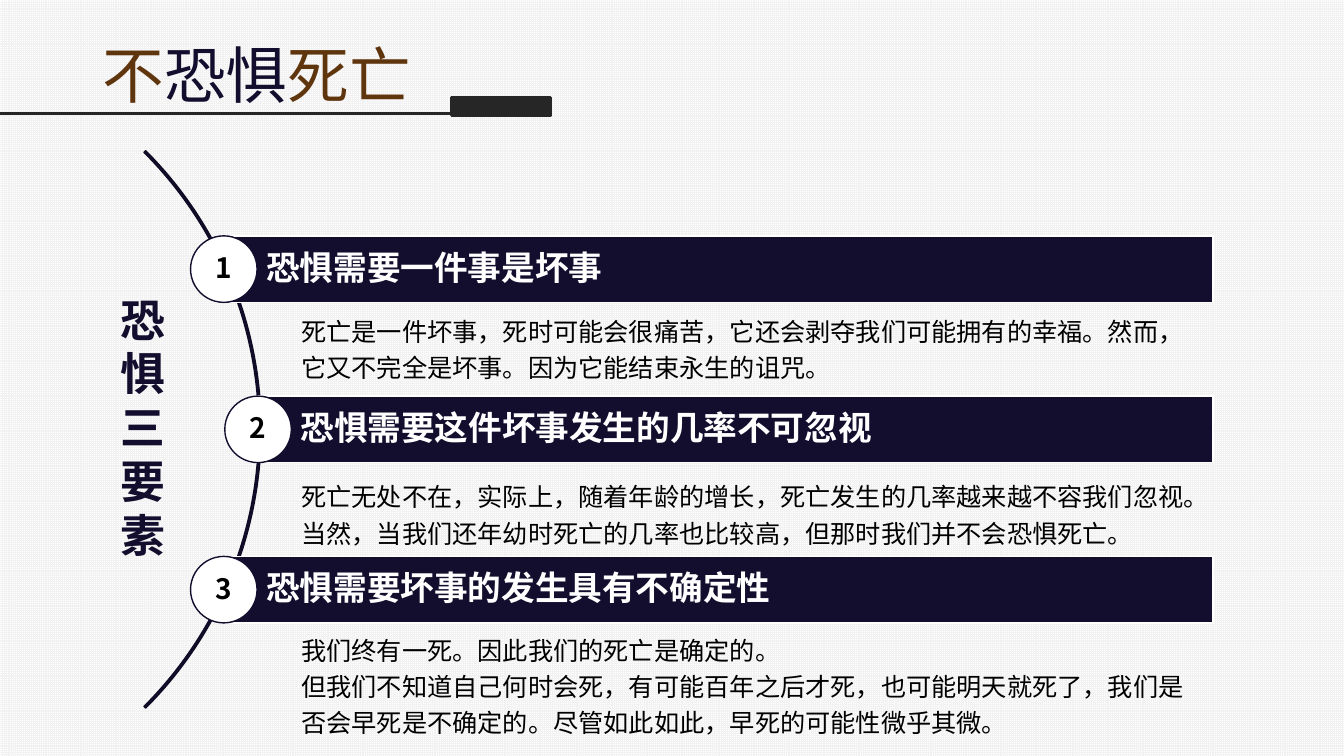
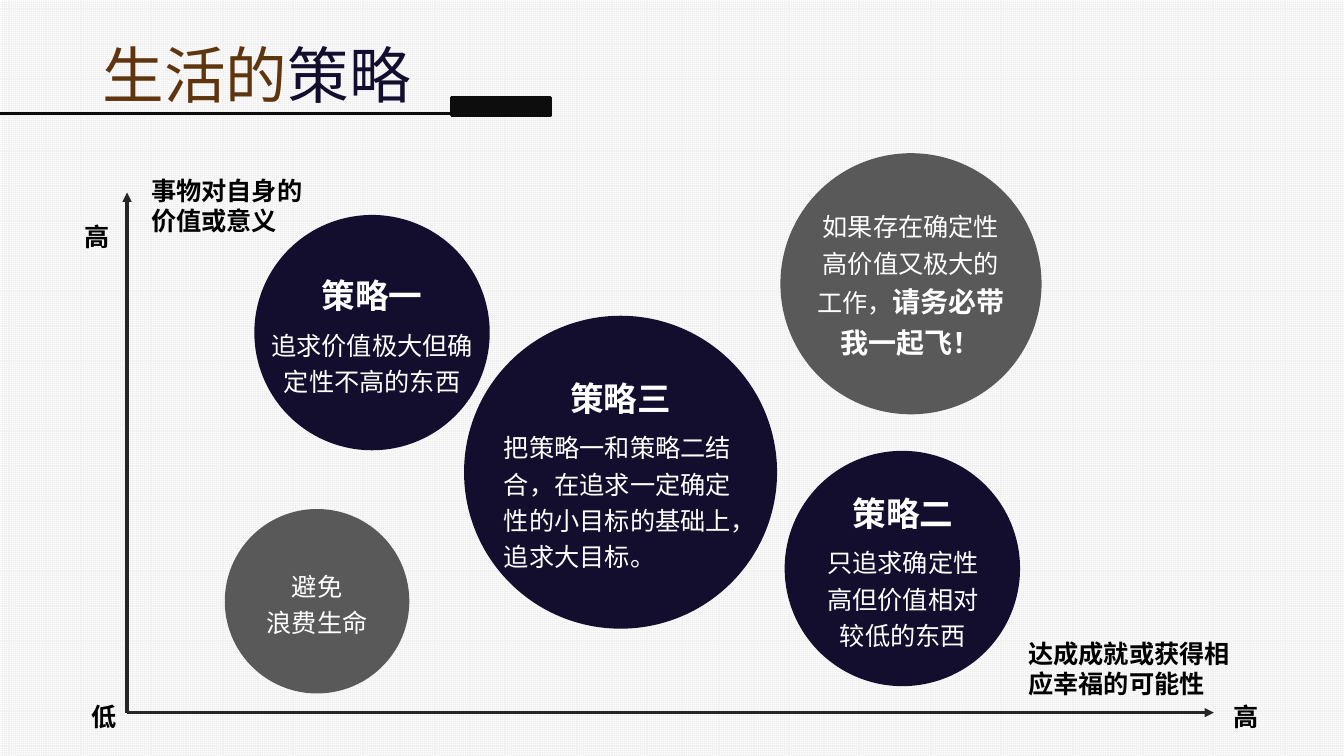
from dataclasses import dataclass

from lxml import etree
from pptx import Presentation
from pptx.dml.color import RGBColor
from pptx.enum.dml import MSO_PATTERN
from pptx.enum.lang import MSO_LANGUAGE_ID
from pptx.enum.shapes import MSO_CONNECTOR, MSO_SHAPE
from pptx.enum.text import MSO_ANCHOR, PP_ALIGN
from pptx.oxml.ns import qn
from pptx.shapes.autoshape import Shape
from pptx.slide import Slide
from pptx.util import Inches, Pt

NAVY = RGBColor(0x13, 0x0E, 0x2E)
ARC_EDGE = RGBColor(0x0F, 0x0B, 0x25)
BROWN = RGBColor(0x5F, 0x35, 0x0E)
CHARCOAL = RGBColor(0x26, 0x26, 0x26)
INK = RGBColor(0x0D, 0x0D, 0x0D)
GRAY = RGBColor(0x59, 0x59, 0x59)
GRID = RGBColor(0xF2, 0xF2, 0xF2)
BLACK = RGBColor(0, 0, 0)
WHITE = RGBColor(0xFF, 0xFF, 0xFF)

FONT = "Noto Sans CJK SC"
CHINESE = MSO_LANGUAGE_ID.SIMPLIFIED_CHINESE
SMALL_GRID = MSO_PATTERN.SMALL_GRID
STRAIGHT = MSO_CONNECTOR.STRAIGHT
RECTANGLE, ELLIPSE, BLOCK_ARC = MSO_SHAPE.RECTANGLE, MSO_SHAPE.OVAL, MSO_SHAPE.BLOCK_ARC
TOP, MIDDLE = MSO_ANCHOR.TOP, MSO_ANCHOR.MIDDLE
LEFT, CENTER = PP_ALIGN.LEFT, PP_ALIGN.CENTER


@dataclass(frozen=True)
class Run:
    text: str
    size: float = 18
    color: RGBColor = BLACK
    bold: bool = False


@dataclass(frozen=True)
class Line:
    runs: tuple[Run, ...]
    align: PP_ALIGN = LEFT
    spacing: float = 1.0
    before: float = 0


@dataclass(frozen=True)
class Box:
    left: float
    top: float
    width: float
    height: float

    def lengths(self) -> tuple[Inches, ...]:
        return tuple(Inches(value) for value in (self.left, self.top, self.width, self.height))


@dataclass(frozen=True)
class Element:
    number: str
    circle_left: float
    heading: str
    body_top: float
    body_height: float
    body: tuple[str, ...]


@dataclass(frozen=True)
class Label:
    box: Box
    text: str
    wrap: bool = True


@dataclass(frozen=True)
class Bubble:
    left: float
    top: float
    size: float
    fill: RGBColor
    text_box: Box
    lines: tuple[Line, ...]
    anchor: MSO_ANCHOR = TOP


def strategy(heading: str, body: str, align: PP_ALIGN = CENTER) -> tuple[Line, ...]:
    return (
        Line((Run(heading, 24, WHITE, True),), CENTER, 1.2),
        Line((Run(body, 18, WHITE),), align, 1.2, 6),
    )


ELEMENTS = (
    Element("1", 1.89, "恐惧需要一件事是坏事", 3.03, 0.83, (
        "死亡是一件坏事，死时可能会很痛苦，它还会剥夺我们可能拥有的幸福。然而，它又不完全是坏事。因为它能结束永生的诅咒。",
    )),
    Element("2", 2.23, "恐惧需要这件坏事发生的几率不可忽视", 4.67, 0.83, (
        "死亡无处不在，实际上，随着年龄的增长，死亡发生的几率越来越不容我们忽视。当然，当我们还年幼时死亡的几率也比较高，但那时我们并不会恐惧死亡。",
    )),
    Element("3", 1.89, "恐惧需要坏事的发生具有不确定性", 6.19, 1.19, (
        "我们终有一死。因此我们的死亡是确定的。",
        "但我们不知道自己何时会死，有可能百年之后才死，也可能明天就死了，我们是否会早死是不确定的。尽管如此如此，早死的可能性微乎其微。",
    )),
)
FIRST_BAR_TOP = 2.34
BAR_PITCH = 1.59
BAR_HEIGHT = 0.66
BAR_RIGHT = 12.03

LABELS = (
    Label(Box(1.4, 1.69, 1.8, 0.71), "事物对自身的价值或意义"),
    Label(Box(10.1, 6.28, 2.31, 0.71), "达成成就或获得相应幸福的可能性"),
    Label(Box(12.14, 6.91, 0.45, 0.4), "高", False),
    Label(Box(0.81, 6.91, 0.45, 0.4), "低", False),
    Label(Box(0.74, 2.15, 0.45, 0.4), "高", False),
)

BUBBLES = (
    Bubble(7.74, 1.52, 2.59, GRAY, Box(7.96, 1.99, 2.15, 1.64), (
        Line((
            Run("如果存在确定性高价值又极大的工作，", 18, WHITE),
            Run("请务必带我一起飞！", 20, WHITE, True),
        ), CENTER, 1.2),
    )),
    Bubble(7.8, 4.49, 2.3, NAVY, Box(8.08, 4.76, 1.75, 1.76),
           strategy("策略二", "只追求确定性高但价值相对较低的东西")),
    Bubble(2.54, 2.15, 2.3, NAVY, Box(2.54, 2.6, 2.3, 1.4),
           strategy("策略一", "追求价值极大但确定性不高的东西")),
    Bubble(4.62, 3.15, 3.07, NAVY, Box(4.9, 3.62, 2.51, 2.12),
           strategy("策略三", "把策略一和策略二结合，在追求一定确定性的小目标的基础上，追求大目标。", LEFT)),
    Bubble(2.23, 5.05, 1.83, GRAY, Box(2.5, 5.32, 1.29, 1.29),
           tuple(Line((Run(text, 18, WHITE),), CENTER, 1.2) for text in ("避免", "浪费生命")),
           MIDDLE),
)
AXIS_LEFT = 1.26
AXIS_BOTTOM = 7.07


def write(shape: Shape, lines: tuple[Line, ...], anchor: MSO_ANCHOR = TOP,
          wrap: bool = True, inset: float = 0.1) -> None:
    frame = shape.text_frame
    frame_format = {"word_wrap": wrap, "vertical_anchor": anchor, "margin_left": Inches(inset)}
    for name, value in frame_format.items():
        setattr(frame, name, value)
    for index, line in enumerate(lines):
        paragraph = frame.paragraphs[0] if index == 0 else frame.add_paragraph()
        paragraph_format = {
            "alignment": line.align,
            "line_spacing": line.spacing,
            "space_before": Pt(line.before),
        }
        for name, value in paragraph_format.items():
            setattr(paragraph, name, value)
        for item in line.runs:
            run = paragraph.add_run()
            run.text = item.text
            font_format = {
                "name": FONT,
                "size": Pt(item.size),
                "bold": item.bold,
                "language_id": CHINESE,
            }
            for name, value in font_format.items():
                setattr(run.font, name, value)
            run.font.color.rgb = item.color
            properties = run._r.get_or_add_rPr()
            etree.SubElement(properties, qn("a:ea")).set("typeface", FONT)


def add_text(slide: Slide, box: Box, lines: tuple[Line, ...],
             anchor: MSO_ANCHOR = TOP, wrap: bool = True) -> None:
    write(slide.shapes.add_textbox(*box.lengths()), lines, anchor, wrap)


def add_filled(slide: Slide, kind: MSO_SHAPE, box: Box, fill: RGBColor,
               edge: RGBColor | None = None, weight: float = 1) -> Shape:
    shape = slide.shapes.add_shape(kind, *box.lengths())
    shape.shadow.inherit = False
    shape.fill.solid()
    shape.fill.fore_color.rgb = fill
    if edge is None:
        shape.line.fill.background()
    else:
        shape.line.color.rgb = edge
        shape.line.width = Pt(weight)
    return shape


def add_line(slide: Slide, start: tuple[float, float], end: tuple[float, float],
             color: RGBColor, arrow: bool = False) -> None:
    connector = slide.shapes.add_connector(
        STRAIGHT, *(Inches(value) for value in (*start, *end)))
    connector.line.color.rgb = color
    connector.line.width = Pt(2.25)
    if arrow:
        outline = connector.line._get_or_add_ln()
        etree.SubElement(outline, qn("a:tailEnd")).set("type", "triangle")
    etree.SubElement(connector._element.spPr, qn("a:effectLst"))


def add_titled_slide(presentation: Presentation, title: tuple[Run, ...], accent: RGBColor) -> Slide:
    slide = presentation.slides.add_slide(presentation.slide_layouts[6])
    fill = slide.background.fill
    fill.patterned()
    fill.pattern = SMALL_GRID
    fill.fore_color.rgb = GRID
    fill.back_color.rgb = WHITE
    add_text(slide, Box(0.92, 0.31, 11.5, 0.84), (Line(title),), MIDDLE)
    add_line(slide, (4.48, 1.13), (0, 1.13), accent)
    add_filled(slide, RECTANGLE, Box(4.48, 0.97, 0.98, 0.17), accent, accent, 2.5)
    return slide


def add_element(slide: Slide, element: Element, top: float) -> None:
    bar_left = element.circle_left + BAR_HEIGHT / 2
    bar = add_filled(slide, RECTANGLE, Box(bar_left, top, BAR_RIGHT - bar_left, BAR_HEIGHT),
                     NAVY, WHITE)
    write(bar, (Line((Run(element.heading, 24, WHITE, True),), LEFT, 0.9),), MIDDLE, inset=0.42)
    circle = add_filled(slide, ELLIPSE, Box(element.circle_left, top, BAR_HEIGHT, BAR_HEIGHT),
                        WHITE, NAVY)
    write(circle, (Line((Run(element.number, 20, BLACK, True),), CENTER),))
    add_text(slide, Box(2.89, element.body_top, 9.14, element.body_height),
             tuple(Line((Run(text),), LEFT, 1.2) for text in element.body))


def build_fear_slide(presentation: Presentation) -> None:
    title = (Run("不", 44, BROWN), Run("恐惧", 44, NAVY), Run("死亡", 44, BROWN))
    slide = add_titled_slide(presentation, title, CHARCOAL)
    arc = add_filled(slide, BLOCK_ARC, Box(-5.23, 0.35, 7.82, 7.82), NAVY, ARC_EDGE)
    for index, value in enumerate((189, 27, 0.003)):
        arc.adjustments[index] = value
    for index, element in enumerate(ELEMENTS):
        add_element(slide, element, FIRST_BAR_TOP + index * BAR_PITCH)
    add_text(slide, Box(1.1, 2.85, 0.78, 2.79), (Line((Run("恐惧三要素", 32, NAVY, True),)),))


def build_strategy_slide(presentation: Presentation) -> None:
    title = (Run("生活的", 44, BROWN), Run("策略", 44, NAVY))
    slide = add_titled_slide(presentation, title, INK)
    for end in ((AXIS_LEFT, 1.91), (12.04, AXIS_BOTTOM)):
        add_line(slide, (AXIS_LEFT, AXIS_BOTTOM), end, CHARCOAL, True)
    for label in LABELS:
        add_text(slide, label.box, (Line((Run(label.text, bold=True),)),), wrap=label.wrap)
    for bubble in BUBBLES:
        edge = NAVY if bubble.fill == NAVY else None
        add_filled(slide, ELLIPSE, Box(bubble.left, bubble.top, bubble.size, bubble.size),
                   bubble.fill, edge, 2.5)
        add_text(slide, bubble.text_box, bubble.lines, bubble.anchor)


def main() -> None:
    presentation = Presentation()
    presentation.slide_width = Inches(13.33)
    presentation.slide_height = Inches(7.5)
    build_fear_slide(presentation)
    build_strategy_slide(presentation)
    presentation.save("out.pptx")


if __name__ == "__main__":
    main()
